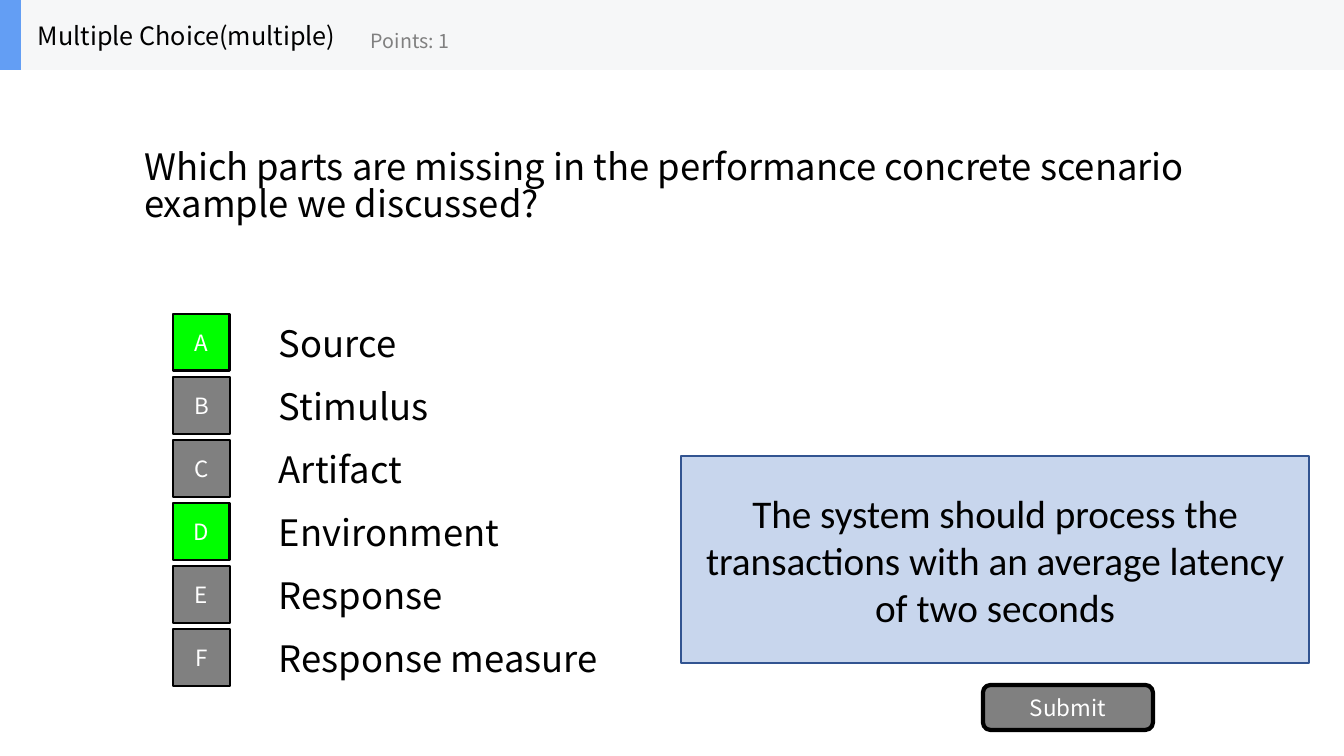
from pptx import Presentation
from pptx.dml.color import RGBColor
from pptx.enum.shapes import MSO_SHAPE
from pptx.enum.text import MSO_ANCHOR, MSO_AUTO_SIZE, PP_ALIGN
from pptx.oxml.ns import qn
from pptx.util import Pt
from lxml.etree import SubElement

EMU_PER_PIXEL = 914400 / 100.8
FONT = "Noto Sans CJK SC"
BLACK, WHITE, GREY, GREEN = "000000", "FFFFFF", "808080", "00FF00"
OPTIONS = [
    ("Source", True),
    ("Stimulus", False),
    ("Artifact", False),
    ("Environment", True),
    ("Response", False),
    ("Response measure", False),
]


def emu(*pixels):
    """Turn pixel lengths into EMU."""
    return [round(pixel * EMU_PER_PIXEL) for pixel in pixels]


def color(hex_string):
    """Turn a hex string into a colour."""
    return RGBColor.from_string(hex_string)


def write(shape, text, size, text_color=BLACK, font=FONT, align=PP_ALIGN.LEFT, wrap=True):
    """Set a shape's text and format it, vertically centred."""
    frame = shape.text_frame
    frame.text = text
    frame.word_wrap = wrap
    frame.auto_size = MSO_AUTO_SIZE.NONE
    frame.vertical_anchor = MSO_ANCHOR.MIDDLE
    paragraph = frame.paragraphs[0]
    paragraph.alignment = align
    run_font = paragraph.runs[0].font
    run_font.name, run_font.size = font, Pt(size)
    run_font.color.rgb = color(text_color)


def add_label(slide, box, text, size, **style):
    """Add a text box."""
    write(slide.shapes.add_textbox(*emu(*box)), text, size, **style)


def add_block(slide, box, fill, line=None, line_width=1, kind=MSO_SHAPE.RECTANGLE):
    """Add a filled shape, outlined when a line colour is given."""
    shape = slide.shapes.add_shape(kind, *emu(*box))
    shape.shadow.inherit = False
    shape.fill.solid()
    shape.fill.fore_color.rgb = color(fill)
    if line:
        shape.line.color.rgb = color(line)
        shape.line.width = Pt(line_width)
    else:
        shape.line.fill.background()
    return shape


def add_header(slide, box):
    """Add the top band with its accent, question type and points."""
    left, top, width, height = box
    add_block(slide, box, "F6F7F8")
    add_block(slide, (left, top, 21, height), "639EF4")
    add_label(slide, (left + 28, top, 320, height), "Multiple Choice(multiple)", 18, wrap=False)
    add_label(slide, (left + 361, top + 12, 252, height - 13), "Points: 1", 14,
              text_color=GREY, wrap=False)


def add_question(slide, box):
    """Place the question in the title placeholder."""
    title = slide.shapes.title
    title.left, title.top, title.width, title.height = emu(*box)
    write(title, "Which parts are missing in the performance concrete scenario "
                 "example we discussed?", 26)
    title.text_frame.paragraphs[0].line_spacing = 0.84


def add_options(slide, box):
    """Stack the lettered options in equal rows; chosen ones are green."""
    left, top, width, height = box
    pitch = height / len(OPTIONS)
    button_size, label_left, label_height = 57, 96, 70
    for index, (text, chosen) in enumerate(OPTIONS):
        row_top = top + index * pitch
        label_top = row_top - (label_height - button_size) / 2
        add_label(slide, (left + label_left, label_top, width - label_left, label_height), text, 26)
        button = add_block(slide, (left, row_top, button_size, button_size),
                           GREEN if chosen else GREY, BLACK, 2 if chosen else 1)
        write(button, "ABCDEF"[index], 16, WHITE, align=PP_ALIGN.CENTER)


def add_scenario(slide, box):
    """Add the translucent panel with the example scenario."""
    panel = add_block(slide, box, "4472C4", "325491")
    fill_color = panel.fill._xPr.find(qn("a:solidFill"))[0]
    SubElement(fill_color, qn("a:alpha"), val="29000")
    write(panel, "The system should process the transactions with an average latency "
                 "of two seconds", 28, font="Calibri", align=PP_ALIGN.CENTER)


def add_submit(slide, box):
    """Add the rounded submit button."""
    button = add_block(slide, box, GREY, BLACK, 3, MSO_SHAPE.ROUNDED_RECTANGLE)
    write(button, "Submit", 16, WHITE, align=PP_ALIGN.CENTER)


def build_question_slide(presentation):
    """Build the multiple choice slide."""
    slide = presentation.slides.add_slide(presentation.slide_layouts[5])
    add_question(slide, (134, 70, 1076, 236))
    add_options(slide, (173, 314, 1037, 378))
    add_submit(slide, (983, 685, 170, 45))
    add_scenario(slide, (681, 456, 628, 207))
    add_header(slide, (0, 0, 1344, 70))


presentation = Presentation()
presentation.slide_width, presentation.slide_height = emu(1344, 756)
build_question_slide(presentation)
presentation.save("out.pptx")
